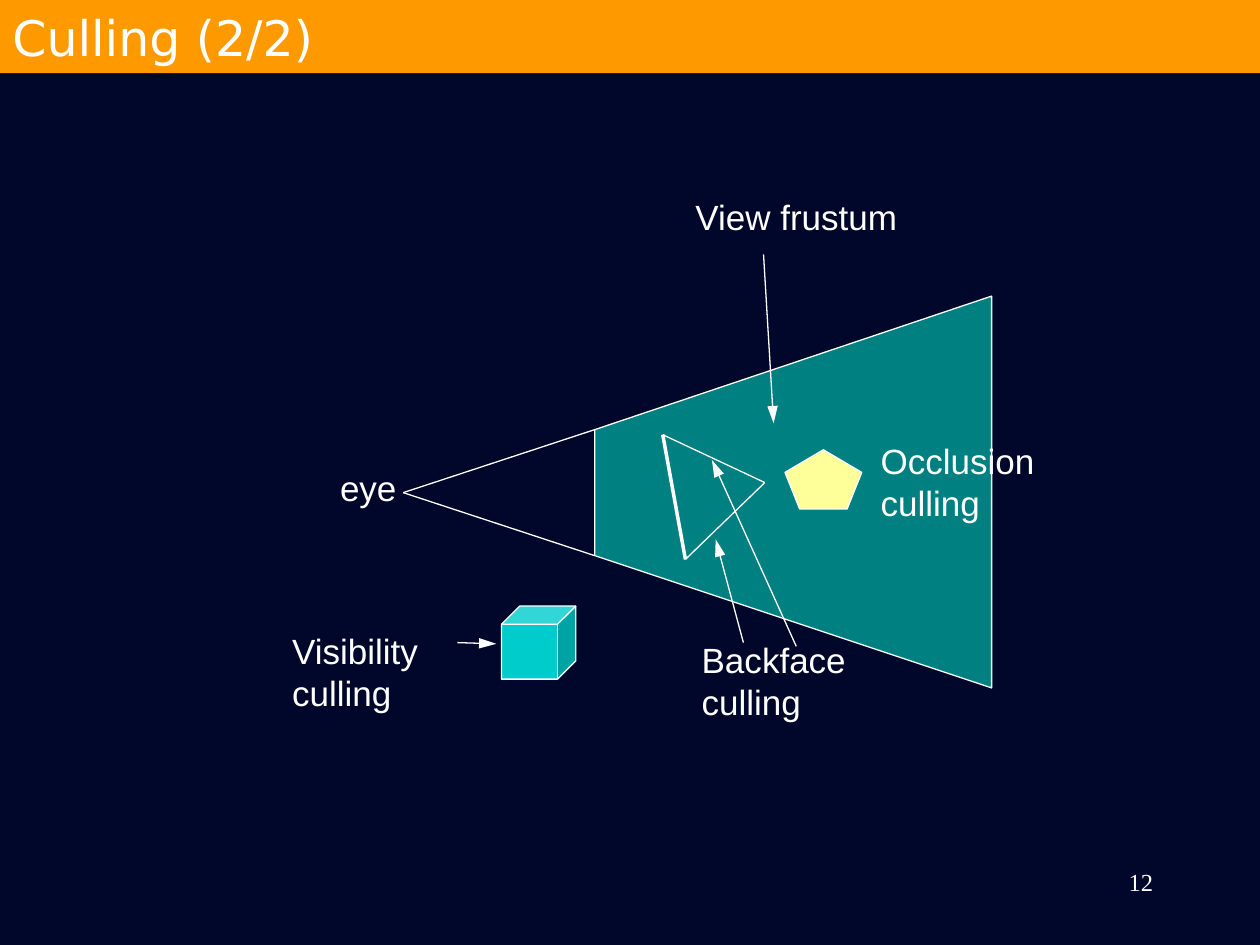
from dataclasses import dataclass

from lxml.etree import SubElement
from pptx import Presentation
from pptx.dml.color import RGBColor
from pptx.enum.shapes import MSO_CONNECTOR as Connector, MSO_SHAPE as Shape
from pptx.enum.text import MSO_ANCHOR as Anchor, MSO_AUTO_SIZE as AutoSize, PP_ALIGN as Align
from pptx.oxml.ns import qn
from pptx.util import Inches, Pt


@dataclass(frozen=True)
class Theme:
    background: str = "00072A"
    banner: str = "FF9900"
    frustum: str = "008080"
    cube: str = "00CCCC"
    pentagon: str = "FFFF99"
    ink: str = "FFFFFF"
    title_font: str = "DejaVu Sans"
    label_font: str = "Arial"
    number_font: str = "Times New Roman"
    title_size: float = 28
    label_size: float = 20
    number_size: float = 14
    thin: float = 0.75
    thick: float = 2


@dataclass(frozen=True)
class Label:
    lines: tuple[str, ...]
    left: float
    top: float
    width: float
    height: float


@dataclass(frozen=True)
class Segment:
    start: tuple[float, float]
    end: tuple[float, float]
    weight: float = Theme.thin
    arrow: bool = False


THEME = Theme()

EYE = (3.2, 3.91)
FRUSTUM = ((7.87, 2.35), (4.72, 3.41), (4.72, 4.41), (7.87, 5.46))
FACE_TOP, FACE_BOTTOM, FACE_APEX = (5.26, 3.45), (5.44, 4.44), (6.07, 3.83)

SIGHT_LINES = [Segment(corner, EYE) for corner in FRUSTUM[1:3]]
TRIANGLE = [
    Segment(FACE_TOP, FACE_BOTTOM, weight=THEME.thick),
    Segment(FACE_TOP, FACE_APEX),
    Segment(FACE_BOTTOM, FACE_APEX),
]
POINTERS = [
    Segment((6.06, 2.02), (6.14, 3.36), arrow=True),
    Segment((3.63, 5.1), (3.94, 5.11), arrow=True),
    Segment((5.9, 5.1), (5.68, 4.28), arrow=True),
    Segment((6.32, 5.13), (5.65, 3.65), arrow=True),
]
LABELS = [
    Label(("eye",), 2.6, 3.65, 0.65, 0.44),
    Label(("View frustum",), 5.42, 1.5, 1.81, 0.44),
    Label(("Visibility", "culling"), 2.22, 4.95, 1.2, 0.77),
    Label(("Backface", "culling"), 5.47, 5.02, 1.38, 0.77),
    Label(("Occlusion", "culling"), 6.89, 3.44, 1.42, 0.77),
]


def color(value: str) -> RGBColor:
    return RGBColor.from_string(value)


def write(frame, lines: tuple[str, ...], font: str, size: float, align=Align.LEFT) -> None:
    """Put each line in its own paragraph."""
    font_format = {"name": font, "size": Pt(size)}
    for index, line in enumerate(lines):
        paragraph = frame.add_paragraph() if index else frame.paragraphs[0]
        paragraph.alignment = align
        run = paragraph.add_run()
        run.text = line
        for attribute, value in font_format.items():
            setattr(run.font, attribute, value)
        run.font.color.rgb = color(THEME.ink)


def paint(shape, fill: str, outlined: bool = True) -> None:
    shape.shadow.inherit = False
    shape.fill.solid()
    shape.fill.fore_color.rgb = color(fill)
    if outlined:
        shape.line.color.rgb = color(THEME.ink)
        shape.line.width = Pt(THEME.thin)
    else:
        shape.line.fill.background()


def draw_solid(slide, kind: Shape, left: float, top: float, width: float, height: float,
               fill: str, outlined: bool = True):
    solid = slide.shapes.add_shape(kind, Inches(left), Inches(top), Inches(width), Inches(height))
    paint(solid, fill, outlined)
    return solid


def draw_frustum(slide) -> None:
    first, *others = [(Inches(x), Inches(y)) for x, y in FRUSTUM]
    builder = slide.shapes.build_freeform(*first)
    builder.add_line_segments(others, close=True)
    paint(builder.convert_to_shape(), THEME.frustum)


def draw_segment(slide, segment: Segment) -> None:
    ends = [Inches(value) for value in segment.start + segment.end]
    connector = slide.shapes.add_connector(Connector.STRAIGHT, *ends)
    connector.line.color.rgb = color(THEME.ink)
    connector.line.width = Pt(segment.weight)
    if segment.arrow:
        SubElement(connector.line._get_or_add_ln(), qn("a:tailEnd"),
                   type="triangle", w="med", len="lg")
    SubElement(connector._element.spPr, qn("a:effectLst"))


def draw_label(slide, label: Label) -> None:
    box = slide.shapes.add_textbox(Inches(label.left), Inches(label.top),
                                   Inches(label.width), Inches(label.height))
    frame_format = {"word_wrap": False, "auto_size": AutoSize.SHAPE_TO_FIT_TEXT}
    for attribute, value in frame_format.items():
        setattr(box.text_frame, attribute, value)
    write(box.text_frame, label.lines, THEME.label_font, THEME.label_size)


def draw_page_number(slide) -> None:
    box = slide.shapes.add_textbox(Inches(7.17), Inches(6.83), Inches(2.08), Inches(0.5))
    box.text_frame.word_wrap = True
    write(box.text_frame, ("12",), THEME.number_font, THEME.number_size, Align.RIGHT)
    box.text_frame.paragraphs[0].space_before = Pt(8.8)


def draw_banner(slide) -> None:
    banner = draw_solid(slide, Shape.RECTANGLE, 0, 0, 10, 0.58, THEME.banner, outlined=False)
    banner.text_frame.vertical_anchor = Anchor.MIDDLE
    write(banner.text_frame, ("Culling (2/2)",), THEME.title_font, THEME.title_size)


def main() -> None:
    deck = Presentation()
    deck.slide_width, deck.slide_height = Inches(10), Inches(7.5)
    slide = deck.slides.add_slide(deck.slide_layouts[6])
    slide.background.fill.solid()
    slide.background.fill.fore_color.rgb = color(THEME.background)

    # View volume and the objects in and around it
    draw_frustum(slide)
    draw_solid(slide, Shape.CUBE, 3.98, 4.81, 0.59, 0.58, THEME.cube)
    draw_solid(slide, Shape.REGULAR_PENTAGON, 6.23, 3.57, 0.61, 0.47, THEME.pentagon)

    # Lines of sight, triangle edges and pointers
    for segment in SIGHT_LINES + TRIANGLE + POINTERS:
        draw_segment(slide, segment)

    # Labels
    for label in LABELS:
        draw_label(slide, label)

    # Title and page number
    draw_banner(slide)
    draw_page_number(slide)

    deck.save("out.pptx")


if __name__ == "__main__":
    main()
